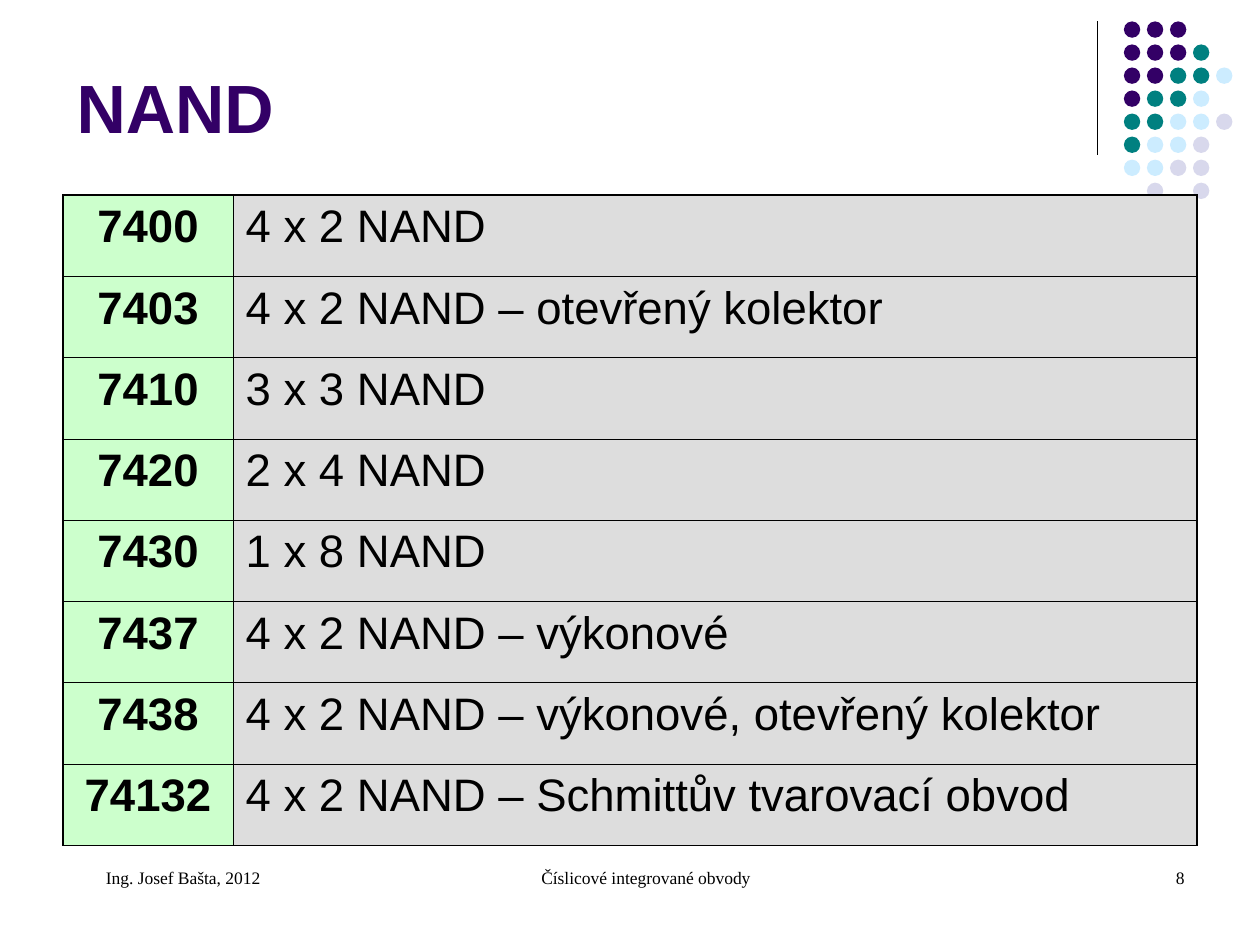
"""Build the NAND gate overview slide."""
import dataclasses

import lxml.etree
import pptx
import pptx.dml.color
import pptx.enum.shapes
import pptx.enum.text
import pptx.oxml.ns
import pptx.util

Inches = pptx.util.Inches
Pt = pptx.util.Pt
Align = pptx.enum.text.PP_ALIGN
Anchor = pptx.enum.text.MSO_ANCHOR
qn = pptx.oxml.ns.qn


@dataclasses.dataclass
class Theme:
    """Colours, fonts and type sizes of the slide."""
    ink: str = "000000"
    plum: str = "330066"
    teal: str = "008080"
    sky: str = "CCECFF"
    mist: str = "D8D8EC"
    mint: str = "CCFFCC"
    grey: str = "DDDDDD"
    sans: str = "Arial"
    serif: str = "Times New Roman"
    head: int = 39
    body: int = 26
    foot: int = 10
    thin: float = 0.45
    thick: float = 1.08


def paint(fill, tone):
    """Give a fill one solid colour."""
    fill.solid()
    fill.fore_color.rgb = pptx.dml.color.RGBColor.from_string(tone)


def assign(item, vals):
    """Set the attributes of an item from a dict."""
    for key, val in vals.items():
        setattr(item, key, val)


class Maker:
    """Draw elements on the current slide in one theme."""

    def __init__(self, slide, theme):
        """Keep the slide and its theme."""
        self.slide = slide
        self.theme = theme

    def label(self, frame, text, tone, align, **font):
        """Put one formatted paragraph in a text frame."""
        para = frame.paragraphs[0]
        para.text = text
        para.alignment = align
        assign(para.font, font)
        para.font.color.rgb = pptx.dml.color.RGBColor.from_string(tone)

    def text(self, box, text, tone, align=Align.LEFT, frame=None, **font):
        """Add a wrapped text box."""
        area = self.slide.shapes.add_textbox(*map(Inches, box)).text_frame
        assign(area, {"word_wrap": True, **(frame or {})})
        self.label(area, text, tone, align, **font)

    def line(self, start, end, width):
        """Add a straight line."""
        kind = pptx.enum.shapes.MSO_CONNECTOR.STRAIGHT
        line = self.slide.shapes.add_connector(kind, *map(Inches, start + end))
        line.line.width = Pt(width)
        paint(line.line.fill, self.theme.ink)
        lxml.etree.SubElement(line._element.spPr, qn("a:effectLst"))

    def dots(self, left, top, size, step, rows, tones):
        """Add a grouped grid of dots, one letter per colour."""
        group = self.slide.shapes.add_group_shape()
        oval = pptx.enum.shapes.MSO_SHAPE.OVAL
        for row, marks in enumerate(rows):
            for col, mark in enumerate(marks):
                if mark not in tones:
                    continue
                spot = (left + col * step, top + row * step, size, size)
                dot = group.shapes.add_shape(oval, *map(Inches, spot))
                dot.shadow.inherit = False
                paint(dot.fill, tones[mark])
                dot.line.fill.background()

    def edge(self, cell, widths):
        """Draw the left, right, top and bottom borders of a cell."""
        props = cell._tc.get_or_add_tcPr()
        for side, width in zip("LRTB", widths):
            rule = lxml.etree.SubElement(props, qn("a:ln" + side), w=str(Pt(width)))
            fill = lxml.etree.SubElement(rule, qn("a:solidFill"))
            lxml.etree.SubElement(fill, qn("a:srgbClr"), val=self.theme.ink)

    def table(self, box, cols, rows):
        """Add a table with a bold first column and a thick outline."""
        look = self.theme
        size = len(rows), len(cols)
        grid = self.slide.shapes.add_table(*size, *map(Inches, box)).table
        assign(grid, {"first_row": False, "horz_banding": False})
        for col, width in zip(grid.columns, cols):
            col.width = Inches(width)
        styles = ((look.mint, Align.CENTER, True), (look.grey, Align.LEFT, False))
        for row, texts in enumerate(rows):
            for col, (text, style) in enumerate(zip(texts, styles)):
                tone, align, bold = style
                cell = grid.cell(row, col)
                outer = (col == 0, col == size[1] - 1, row == 0, row == size[0] - 1)
                self.edge(cell, [look.thick if out else look.thin for out in outer])
                paint(cell.fill, tone)
                self.label(cell.text_frame, text, look.ink, align,
                           name=look.sans, size=Pt(look.body), bold=bold)


def main():
    """Build and save the slide."""
    deck = pptx.Presentation()
    assign(deck, {"slide_width": Inches(10), "slide_height": Inches(7.5)})
    look = Theme()
    make = Maker(deck.slides.add_slide(deck.slide_layouts[6]), look)

    make.line((8.71, 0.17), (8.71, 1.23), 0.75)
    tones = {"p": look.plum, "t": look.teal, "s": look.sky, "m": look.mist}
    marks = ("ppp", "pppt", "pptts", "ptts", "ttssm", "tssm", "ssmm", " m m")
    make.dots(8.92, 0.17, 0.13, 1.28 / 7, marks, tones)

    make.text((0.51, 0.36, 8.25, 0.86), "NAND", look.plum,
              frame={"vertical_anchor": Anchor.BOTTOM},
              name=look.sans, size=Pt(look.head), bold=True)
    make.table((0.5, 1.55, 9, 5.16), (1.35, 7.65), (
        ("7400", "4 x 2 NAND"),
        ("7403", "4 x 2 NAND – otevřený kolektor"),
        ("7410", "3 x 3 NAND"),
        ("7420", "2 x 4 NAND"),
        ("7430", "1 x 8 NAND"),
        ("7437", "4 x 2 NAND – výkonové"),
        ("7438", "4 x 2 NAND – výkonové, otevřený kolektor"),
        ("74132", "4 x 2 NAND – Schmittův tvarovací obvod"),
    ))
    for left, width, text, align in (
        (3.42, 3.17, "Číslicové integrované obvody", Align.CENTER),
        (7.17, 2.33, "8", Align.RIGHT),
        (0.5, 2.33, "Ing. Josef Bašta, 2012", Align.LEFT),
    ):
        make.text((left, 6.83, width, 0.5), text, look.ink, align,
                  frame={"margin_left": Inches(0.34)},
                  name=look.serif, size=Pt(look.foot))
    deck.save("out.pptx")


if __name__ == "__main__":
    main()
